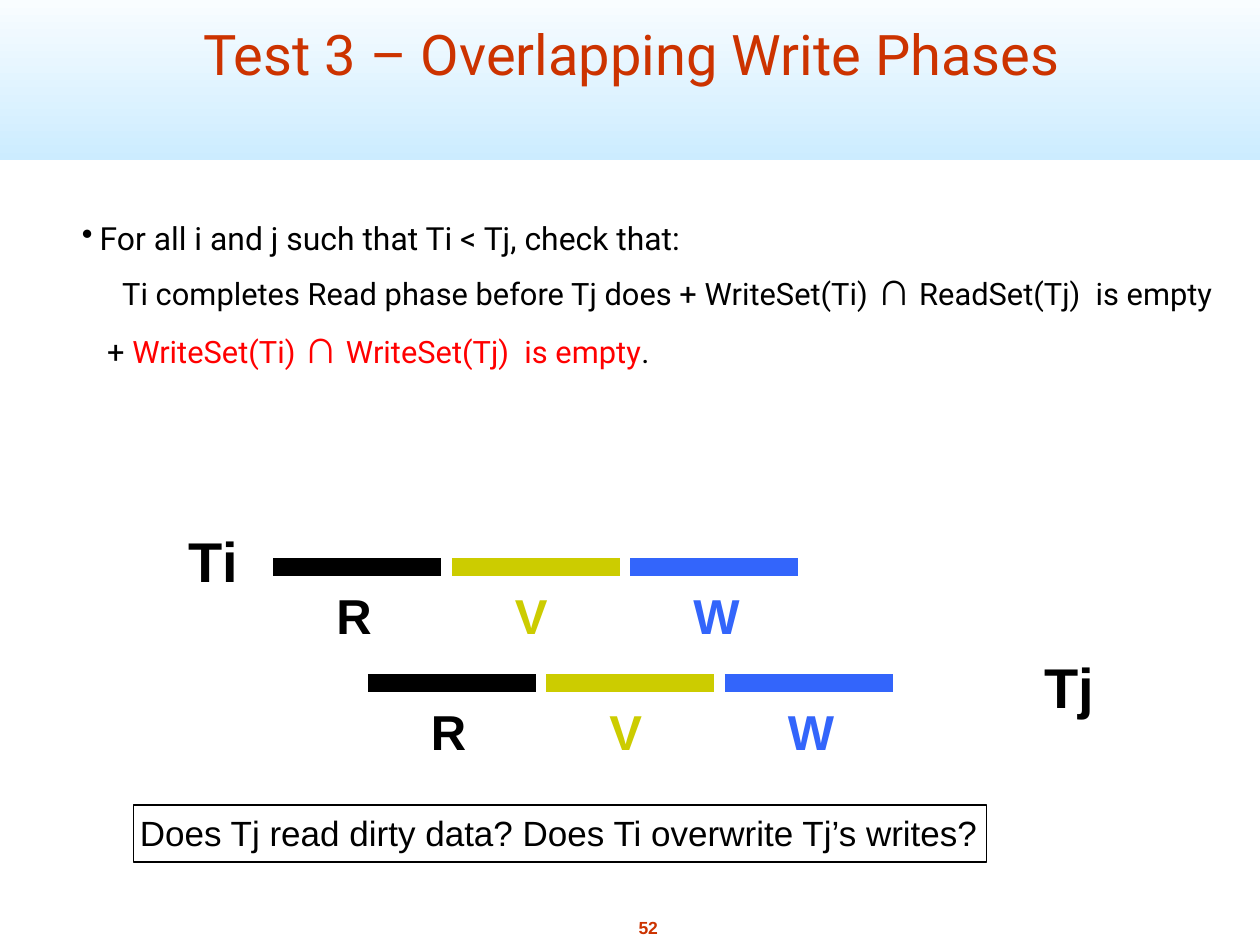
from typing import NamedTuple

from lxml import etree
from pptx import Presentation
from pptx import util as u
from pptx.dml.color import RGBColor
from pptx.enum import shapes, text
from pptx.oxml.ns import qn

COLORS = {
    "sky": "CCECFF", "white": "FFFFFF", "rust": "CC3300", "black": "000000",
    "red": "FF0000", "olive": "CCCC00", "blue": "3365FB",
}
BAR = 4 / 3
STEP = BAR + 1 / 12


class Run(NamedTuple):
    words: str
    size: float
    color: str = "black"
    face: str = "Arial"
    bold: bool = False


class Phase(NamedTuple):
    name: str
    color: str
    width: float


class Row(NamedTuple):
    name: str
    left: float
    top: float
    label: tuple[float, float]


PHASES = [Phase("R", "black", 0.4), Phase("V", "olive", 0.37), Phase("W", "blue", 0.48)]
ROWS = [Row("Ti", 2.17, 4.5, (1.45, 4.13)), Row("Tj", 2.92, 5.42, (8.24, 5.13))]
CLAIM = [Run("For all i and j such that Ti < Tj, check that:", 18.2, face="Roboto")]
TESTS = [
    Run("Ti completes Read phase before Tj does + WriteSet(Ti) ", 17.6, face="Roboto"),
    Run("∩", 27.7),
    Run(" ReadSet(Tj)  is empty + ", 17.6, face="Roboto"),
    Run("WriteSet(Ti) ", 17.6, "red", "Roboto"),
    Run("∩", 27.7, "red"),
    Run(" WriteSet(Tj)  is empty", 17.6, "red", "Roboto"),
    Run(".", 17.6, face="Roboto"),
]


def tint(key: str) -> RGBColor:
    return RGBColor.from_string(COLORS[key])


def place(shape, left: float, top: float, width: float, height: float) -> None:
    box = {"left": left, "top": top, "width": width, "height": height}
    for name, value in box.items():
        setattr(shape, name, u.Inches(value))


def frame(shape, **extra):
    """Set the insets and other text frame values."""
    tf = shape.text_frame
    values = {f"margin_{side}": u.Inches(0.05) for side in ("left", "right", "top", "bottom")}
    for name, value in (values | extra).items():
        setattr(tf, name, value)
    return tf


def write(par, runs: list[Run]) -> None:
    for item in runs:
        run = par.add_run()
        run.text = item.words
        font = {"name": item.face, "size": u.Pt(item.size), "bold": item.bold}
        for name, value in font.items():
            setattr(run.font, name, value)
        run.font.color.rgb = tint(item.color)


def indent(par, margin: float, first: float, mark: str = "") -> None:
    props = par._p.get_or_add_pPr()
    props.set("marL", str(u.Inches(margin)))
    props.set("indent", str(u.Inches(first)))
    if mark:
        etree.SubElement(props, qn("a:buChar")).set("char", mark)
    else:
        etree.SubElement(props, qn("a:buNone"))


def label(slide, run: Run, left: float, top: float, width: float, height: float):
    box = slide.shapes.add_textbox(*map(u.Inches, (left, top, width, height)))
    tf = frame(box, word_wrap=False, auto_size=text.MSO_AUTO_SIZE.SHAPE_TO_FIT_TEXT)
    write(tf.paragraphs[0], [run])
    return box


def draw_bar(slide, left: float, top: float, color: str) -> None:
    ends = map(u.Inches, (left, top, left + BAR, top))
    bar = slide.shapes.add_connector(shapes.MSO_CONNECTOR.STRAIGHT, *ends)
    bar.line.width = u.Pt(10)
    bar.line.color.rgb = tint(color)
    etree.SubElement(bar._element.spPr, qn("a:effectLst"))


def draw_row(slide, row: Row) -> None:
    for i, phase in enumerate(PHASES):
        left = row.left + i * STEP
        draw_bar(slide, left, row.top, phase.color)
        run = Run(phase.name, 28, phase.color, bold=True)
        label(slide, run, left + 0.45, row.top + 0.1, phase.width, 0.57)
    label(slide, Run(row.name, 32, bold=True), *row.label, 0.5, 0.63)


def draw_band(slide) -> None:
    band = slide.shapes.add_shape(
        shapes.MSO_SHAPE.RECTANGLE, *map(u.Inches, (0, -0.17, 10, 1.44)))
    band.shadow.inherit = False
    band.line.fill.background()
    band.fill.gradient()
    band.fill.gradient_angle = 90
    for stop, key in zip(band.fill.gradient_stops, ("sky", "white")):
        stop.color.rgb = tint(key)
    # Send the band behind the title
    slide.shapes._spTree.insert(2, band._element)


def draw_title(slide) -> None:
    title = slide.shapes.title
    place(title, 0.6, 0.07, 8.83, 0.67)
    tf = frame(title, vertical_anchor=text.MSO_ANCHOR.BOTTOM, word_wrap=True,
               auto_size=text.MSO_AUTO_SIZE.NONE)
    par = tf.paragraphs[0]
    par.alignment = text.PP_ALIGN.CENTER
    write(par, [Run("Test 3 – Overlapping Write Phases", 32, "rust", "Roboto")])


def draw_body(slide) -> None:
    body = slide.shapes.add_textbox(*map(u.Inches, (0.6, 1.69, 9.08, 1.17)))
    tf = frame(body, word_wrap=True)
    claim, tests = tf.paragraphs[0], tf.add_paragraph()
    indent(claim, 0.14, -0.14, "•")
    write(claim, CLAIM)
    indent(tests, 0.2, 0.12)
    write(tests, TESTS)


def main() -> None:
    deck = Presentation()
    deck.slide_width, deck.slide_height = u.Inches(10), u.Inches(7.5)
    slide = deck.slides.add_slide(deck.slide_layouts[5])
    draw_band(slide)
    draw_title(slide)
    draw_body(slide)
    for row in ROWS:
        draw_row(slide, row)
    quiz = label(slide, Run("Does Tj read dirty data? Does Ti overwrite Tj’s writes?", 20),
                 1.06, 6.39, 6.77, 0.45)
    quiz.line.color.rgb = tint("black")
    quiz.line.width = u.Pt(1)
    page = label(slide, Run("52", 10, "rust", bold=True), 5.01, 7.23, 0.27, 0.27)
    page.text_frame.paragraphs[0].alignment = text.PP_ALIGN.CENTER
    deck.save("out.pptx")


if __name__ == "__main__":
    main()
